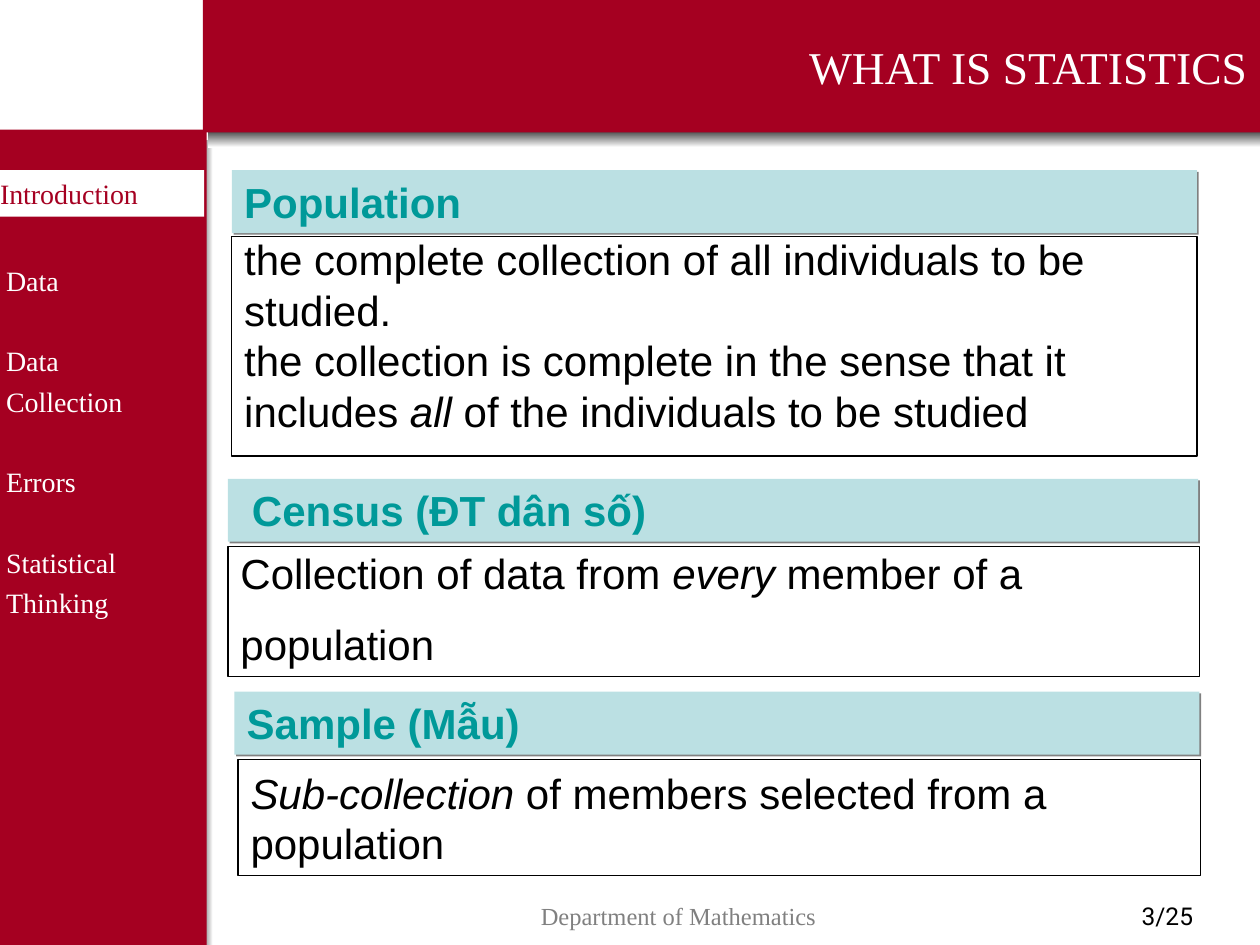
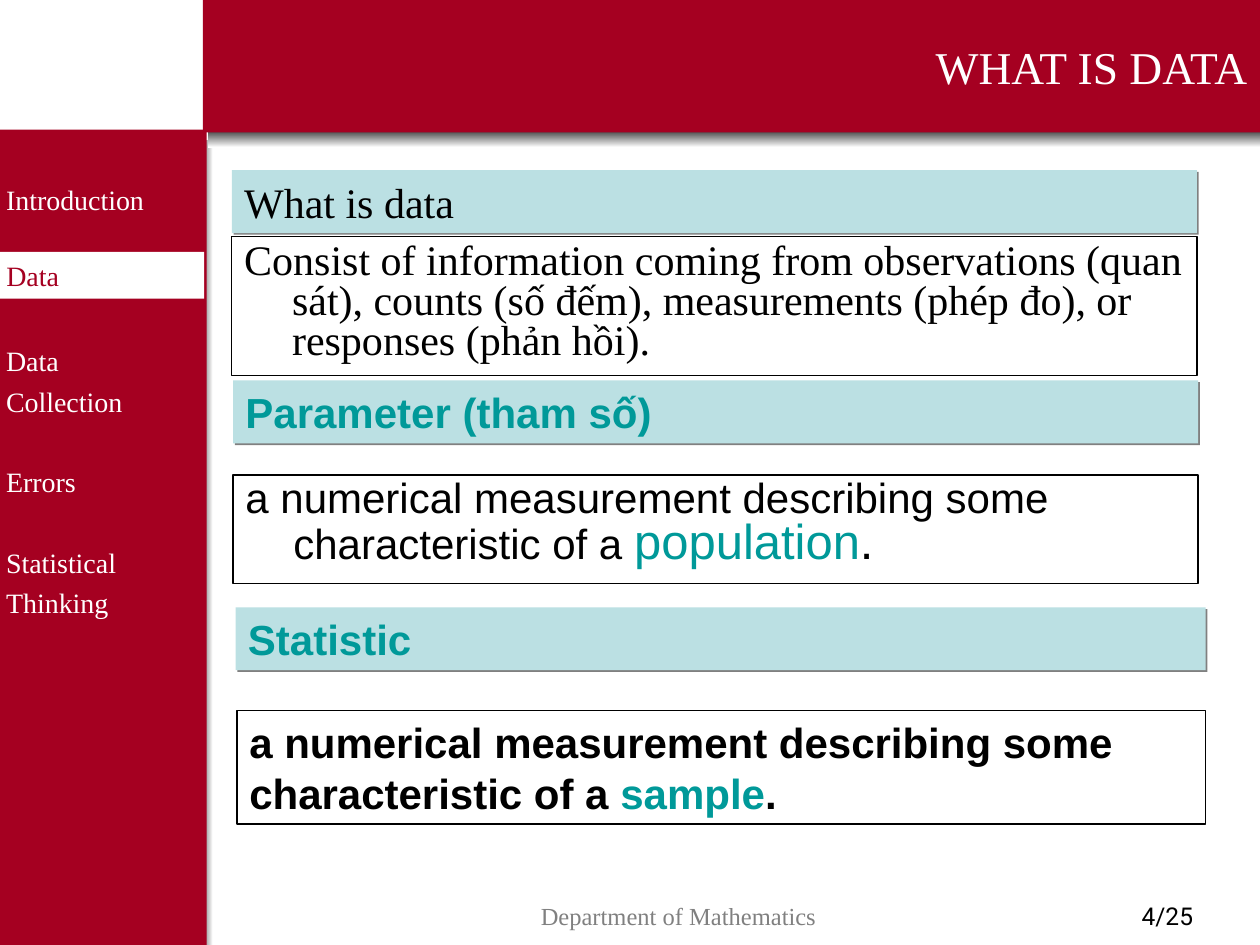
import pptx
import pptx.dml.color
import pptx.enum.shapes
import pptx.enum.text
import pptx.oxml
import pptx.oxml.ns
import pptx.util
from dataclasses import dataclass

PX = 9144  # 100 px to the inch
ALIGN = pptx.enum.text.PP_ALIGN
ANCHOR = pptx.enum.text.MSO_ANCHOR


@dataclass(frozen=True)
class Theme:
    red: str = "A50021"
    white: str = "FFFFFF"
    black: str = "000000"
    grey: str = "808080"
    teal: str = "009999"
    pale: str = "BBE0E3"
    serif: str = "Times New Roman"
    sans: str = "Arial"
    number_font: str = "Roboto"
    title_size: int = 26
    text_size: int = 24
    large_size: int = 28
    menu_size: int = 16
    footer_size: int = 14


T = Theme()
TOPICS = ["Introduction", "Data", "Data Collection", "Errors", "Statistical Thinking"]
PAGE_COUNT = 25


def rgb(color):
    return pptx.dml.color.RGBColor.from_string(color)


# Shapes and text
def add_rect(slide, at, fill=None, line=None):
    sp = slide.shapes.add_shape(
        pptx.enum.shapes.MSO_SHAPE.RECTANGLE, *(n * PX for n in at))
    sp.shadow.inherit = False
    if fill:
        sp.fill.solid()
        sp.fill.fore_color.rgb = rgb(fill)
    else:
        sp.fill.background()
    if line:
        sp.line.color.rgb = rgb(line)
        sp.line.width = pptx.util.Pt(0.75)
    else:
        sp.line.fill.background()
    return sp


def add_fade(slide, at, angle):
    """Black to white strip that serves as the soft edge of a band."""
    sp = add_rect(slide, at)
    sp.fill.gradient()
    sp.fill.gradient_angle = angle
    for stop, color, position in zip(sp.fill.gradient_stops, (T.black, T.white), (0, 1)):
        stop.color.rgb = rgb(color)
        stop.position = position


def add_shadow(sp):
    effects = sp._element.spPr.find(pptx.oxml.ns.qn("a:effectLst"))
    effects.append(pptx.oxml.parse_xml(
        f'<a:outerShdw {pptx.oxml.ns.nsdecls("a")} dist="17961" dir="2700000" '
        f'algn="ctr" rotWithShape="0"><a:srgbClr val="{T.grey}"/></a:outerShdw>'))


def write(sp, paragraphs, font=T.sans, size=T.text_size, color=T.black, bold=False,
          align=ALIGN.LEFT, anchor=ANCHOR.TOP, spacing=1.0, before=0,
          hanging=False, inset_left=10, inset_right=10):
    """Each paragraph is a string or a list of strings and (string, format) pairs."""
    tf = sp.text_frame
    tf.word_wrap = True
    tf.vertical_anchor = anchor
    tf.margin_left, tf.margin_right = inset_left * PX, inset_right * PX
    tf.margin_top = tf.margin_bottom = 5 * PX
    for i, runs in enumerate(paragraphs):
        p = tf.add_paragraph() if i else tf.paragraphs[0]
        p.alignment = align
        p.line_spacing = spacing
        p.space_before = pptx.util.Pt(before)
        if hanging:
            pPr = p._p.get_or_add_pPr()
            pPr.set("marL", str(38 * PX))
            pPr.set("indent", str(-38 * PX))
        for run in [runs] if isinstance(runs, str) else runs:
            text, extra = (run, {}) if isinstance(run, str) else run
            r = p.add_run()
            r.text = text
            r.font.name = font
            r.font.size = pptx.util.Pt(extra.get("size", size))
            r.font.color.rgb = rgb(extra.get("color", color))
            r.font.bold = bold
            r.font.italic = extra.get("italic", False)


def add_heading(slide, left, top, width, text, **fmt):
    sp = add_rect(slide, (left, top, width, 50), fill=T.pale)
    add_shadow(sp)
    write(sp, [text], **{"color": T.teal, "bold": True, **fmt})


def add_definition(slide, at, paragraphs, **fmt):
    write(add_rect(slide, at, line=T.black), paragraphs, **fmt)


def add_label(slide, at, paragraphs, **fmt):
    write(slide.shapes.add_textbox(*(n * PX for n in at)), paragraphs, **fmt)


# Frame shared by the slides
def add_frame(prs, title, page, topic_top, topic, topic_inset):
    slide = prs.slides.add_slide(prs.slide_layouts[6])
    add_fade(slide, (154, 111, 15, 639), 0)
    add_rect(slide, (0, 103, 164, 647), fill=T.red)
    add_fade(slide, (165, 99, 835, 18), 270)
    add_label(slide, (-5, 135, 154, 421), TOPICS, font=T.serif, size=T.menu_size,
              color=T.white, spacing=1.2, before=23)
    footer = {"size": T.footer_size, "align": ALIGN.CENTER}
    add_label(slide, (853, 710, 147, 40), [f"{page}/{PAGE_COUNT}"],
              font=T.number_font, **footer)
    add_label(slide, (234, 710, 609, 40), ["Department of Mathematics"],
              font=T.serif, color=T.grey, **footer)
    write(add_rect(slide, (161, 0, 839, 105), fill=T.red), [title], font=T.serif,
          size=T.title_size, color=T.white, align=ALIGN.RIGHT, anchor=ANCHOR.MIDDLE)
    # Current topic in the side menu
    write(add_rect(slide, (0, topic_top, 162, 37), fill=T.white), [topic],
          font=T.serif, size=T.menu_size, color=T.red,
          inset_left=topic_inset, inset_right=0)
    return slide


# Slides
def add_statistics_slide(prs):
    slide = add_frame(prs, "WHAT IS STATISTICS", 3, 135, TOPICS[0], 0)
    italic = {"italic": True}

    add_heading(slide, 184, 135, 766, "Population")
    add_definition(slide, (184, 188, 766, 174), [
        "the complete collection of all individuals to be",
        "studied.",
        "the collection is complete in the sense that it",
        ["includes ", ("all", italic), " of the individuals to be studied"],
    ], spacing=0.8, before=6, hanging=True)

    add_heading(slide, 181, 380, 770, "Census (ĐT dân số)", inset_left=19)
    add_definition(slide, (181, 434, 771, 103), [
        ["Collection of data from ", ("every", italic), " member of a"],
        "population",
    ], spacing=0.9, before=15)

    add_heading(slide, 186, 549, 766, "Sample (Mẫu)")
    add_definition(slide, (189, 603, 764, 92), [
        [("Sub-collection", italic), " of members selected from a"],
        "population",
    ], anchor=ANCHOR.MIDDLE)


def add_data_slide(prs):
    slide = add_frame(prs, "WHAT IS DATA", 4, 200, TOPICS[1], 5)
    measurement = "a numerical measurement describing some characteristic of a "

    add_heading(slide, 184, 135, 766, "What is data", font=T.serif,
                color=T.black, bold=False)
    add_definition(slide, (184, 188, 766, 110), [
        "Consist of information coming from observations (quan sát), counts (số đếm), "
        "measurements (phép đo), or responses (phản hồi).",
    ], font=T.serif, spacing=0.8, hanging=True)

    add_heading(slide, 185, 302, 766, "Parameter (tham số)")
    add_definition(slide, (185, 377, 766, 86), [
        [measurement, ("population", {"size": T.large_size, "color": T.teal}),
         (".", {"size": T.large_size})],
    ], spacing=0.8, hanging=True)

    add_heading(slide, 187, 482, 770, "Statistic")
    add_definition(slide, (188, 564, 769, 90), [
        [measurement, ("sample", {"color": T.teal}), "."],
    ], bold=True)


def main():
    prs = pptx.Presentation()
    prs.slide_width, prs.slide_height = 1000 * PX, 750 * PX
    add_statistics_slide(prs)
    add_data_slide(prs)
    prs.save("out.pptx")


if __name__ == "__main__":
    main()
